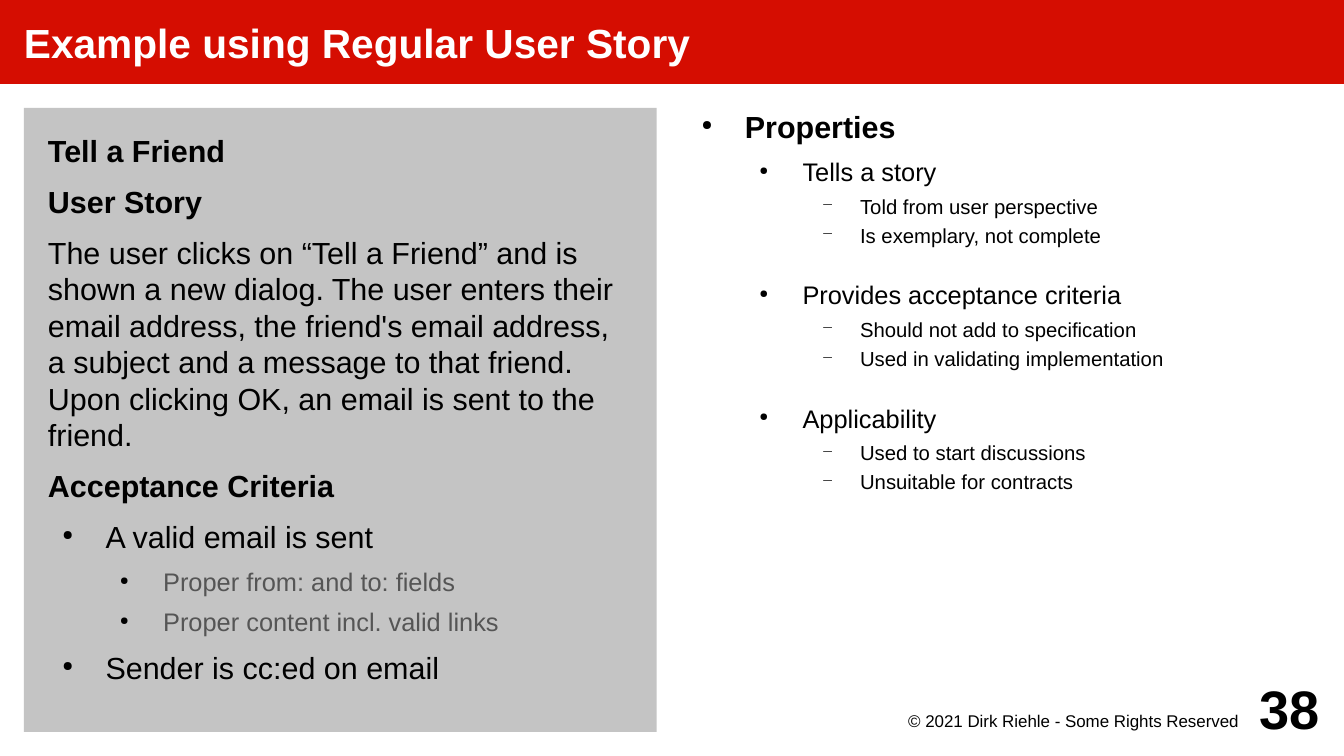
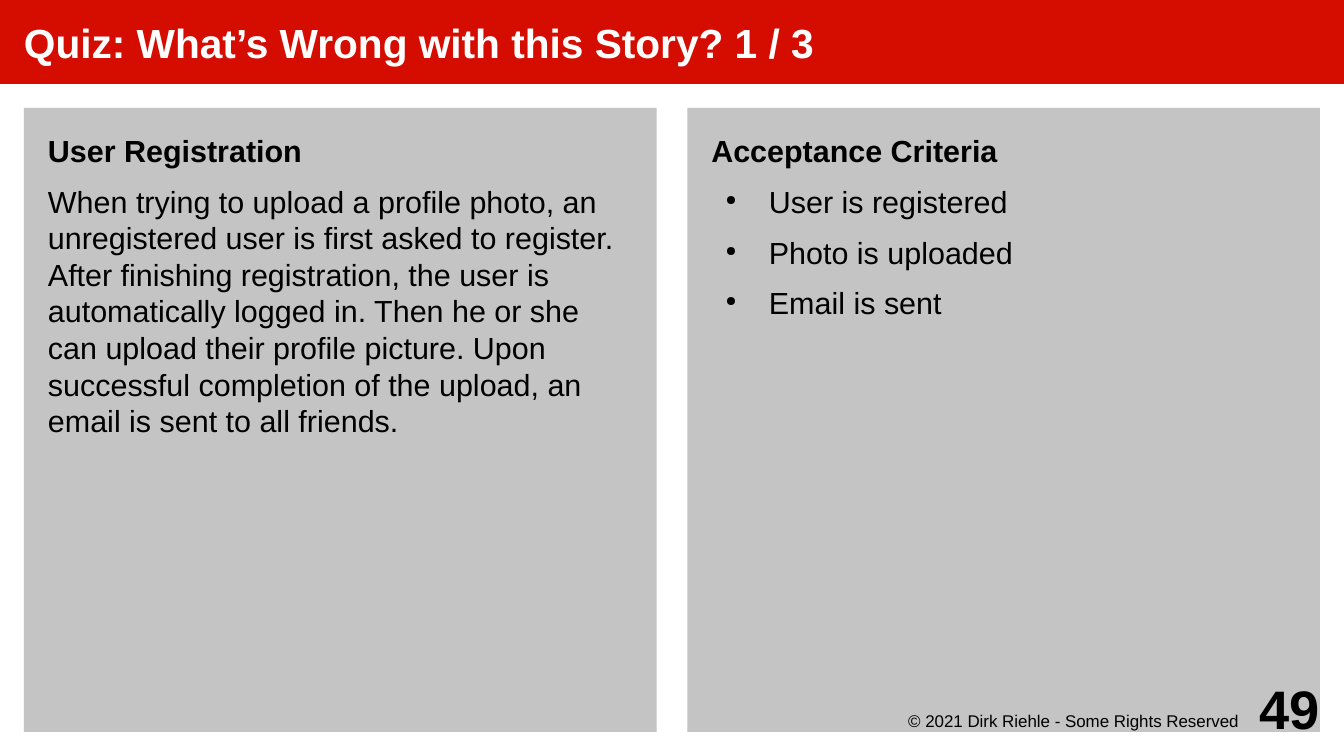
"""Build two user story slides with a shared title band and footer."""
from dataclasses import dataclass, replace
from typing import Optional

from lxml.etree import SubElement
from pptx import Presentation
from pptx.dml.color import RGBColor as RGB
from pptx.enum.shapes import MSO_SHAPE as SHAPE
from pptx.enum.text import MSO_ANCHOR as ANCHOR, PP_ALIGN as ALIGN
from pptx.oxml.ns import qn
from pptx.util import Cm, Length, Pt


@dataclass(frozen=True)
class Theme:
    font: str = "Arial"
    red: str = "D50D01"
    panel: str = "C4C4C4"
    white: str = "FFFFFF"
    black: str = "000000"
    grey: str = "555555"
    title: float = 24
    body: float = 18
    sub: float = 15
    detail: float = 12
    small: float = 10
    number: float = 32


T = Theme()
WIDTH, HEIGHT = Cm(28), Cm(15.75)
MARGIN = Cm(0.5)
BAND_H = Cm(1.75)
COL_W, COL_H = Cm(13.18), Cm(13)
COL_Y = BAND_H + MARGIN
LEFT, RIGHT = MARGIN, WIDTH - MARGIN - COL_W
GROUP_GAP = 14.8
COPYRIGHT = "© 2021 Dirk Riehle - Some Rights Reserved"


@dataclass(frozen=True)
class Style:
    size: float
    space: float = 0
    bold: bool = False
    color: str = T.black
    level: int = 0
    indent: Length = Cm(0)
    hang: Length = Cm(0)
    bullet: str = ""
    bullet_pct: int = 45
    align: Optional[ALIGN] = None
    extra_before: float = 0


@dataclass(frozen=True)
class Para:
    text: str
    style: Style


@dataclass(frozen=True)
class Column:
    x: Length
    paras: list[Para]
    fill: Optional[str] = T.panel


@dataclass(frozen=True)
class Page:
    title: str
    number: str
    columns: list[Column]


TITLE = Style(T.title, bold=True, color=T.white)
FOOTER = Style(T.small, align=ALIGN.RIGHT)
NUMBER = Style(T.number, bold=True, align=ALIGN.RIGHT)
PLAIN = Style(T.body, 4.2)
HEAD = replace(PLAIN, bold=True)
ITEM = replace(PLAIN, indent=Cm(1.2), hang=Cm(0.9), bullet="●")
ITEM_HEAD = replace(ITEM, bold=True)
SUB = replace(ITEM, size=T.sub, space=2.8, level=1, indent=Cm(2.4))
SUB_GREY = replace(SUB, color=T.grey)
SUB_NEXT = replace(SUB, extra_before=GROUP_GAP)
DETAIL = Style(T.detail, 1.4, level=2, indent=Cm(3.6), hang=Cm(0.8),
               bullet="−", bullet_pct=75)

PAGES = [
    Page("Example using Regular User Story", "38", [
        Column(LEFT, [
            Para("Tell a Friend", HEAD),
            Para("User Story", HEAD),
            Para("The user clicks on “Tell a Friend” and is shown a new dialog. "
                 "The user enters their email address, the friend's email address, "
                 "a subject and a message to that friend. Upon clicking OK, "
                 "an email is sent to the friend.", PLAIN),
            Para("Acceptance Criteria", HEAD),
            Para("A valid email is sent", ITEM),
            Para("Proper from: and to: fields", SUB_GREY),
            Para("Proper content incl. valid links", SUB_GREY),
            Para("Sender is cc:ed on email", ITEM),
        ]),
        Column(RIGHT, [
            Para("Properties", ITEM_HEAD),
            Para("Tells a story", SUB),
            Para("Told from user perspective", DETAIL),
            Para("Is exemplary, not complete", DETAIL),
            Para("Provides acceptance criteria", SUB_NEXT),
            Para("Should not add to specification", DETAIL),
            Para("Used in validating implementation", DETAIL),
            Para("Applicability", SUB_NEXT),
            Para("Used to start discussions", DETAIL),
            Para("Unsuitable for contracts", DETAIL),
        ], fill=None),
    ]),
    Page("Quiz: What’s Wrong with this Story? 1 / 3", "49", [
        Column(LEFT, [
            Para("User Registration", HEAD),
            Para("When trying to upload a profile photo, an unregistered user is "
                 "first asked to register. After finishing registration, the user "
                 "is automatically logged in. Then he or she can upload their "
                 "profile picture. Upon successful completion of the upload, "
                 "an email is sent to all friends.", PLAIN),
        ]),
        Column(RIGHT, [
            Para("Acceptance Criteria", HEAD),
            Para("User is registered", ITEM),
            Para("Photo is uploaded", ITEM),
            Para("Email is sent", ITEM),
        ]),
    ]),
]


def format_paragraph(p, style: Style, first: bool) -> None:
    """Set spacing, indents, alignment and bullet of a paragraph."""
    p.level = style.level
    p.alignment = style.align or ALIGN.LEFT
    p.space_before = Pt(0 if first else style.space + style.extra_before)
    p.space_after = Pt(style.space)
    pPr = p._p.get_or_add_pPr()
    pPr.set("marL", str(int(style.indent)))
    pPr.set("indent", str(-int(style.hang)))
    if style.bullet:
        color = SubElement(pPr, qn("a:buClr"))
        SubElement(color, qn("a:srgbClr"), val=T.black)
        SubElement(pPr, qn("a:buSzPct"), val=str(style.bullet_pct * 1000))
        SubElement(pPr, qn("a:buChar"), char=style.bullet)


def add_text(s, paras: list[Para], x: Length, y: Length, w: Length, h: Length, *,
             fill: Optional[str] = None, anchor: ANCHOR = ANCHOR.TOP,
             insets: tuple[float, float, float, float] = (0, 0, 0, 0)) -> None:
    """Add a text box, or a filled rectangle, holding the paragraphs."""
    if fill:
        sp = s.shapes.add_shape(SHAPE.RECTANGLE, x, y, w, h)
        sp.shadow.inherit = False
        sp.fill.solid()
        sp.fill.fore_color.rgb = RGB.from_string(fill)
        sp.line.fill.background()
    else:
        sp = s.shapes.add_textbox(x, y, w, h)
    tf = sp.text_frame
    tf.word_wrap = True
    tf.vertical_anchor = anchor
    tf.margin_left, tf.margin_top, tf.margin_right, tf.margin_bottom = map(Cm, insets)
    for i, para in enumerate(paras):
        p = tf.add_paragraph() if i else tf.paragraphs[0]
        format_paragraph(p, para.style, first=i == 0)
        r = p.add_run()
        r.text = para.text
        r.font.name = T.font
        r.font.size = Pt(para.style.size)
        r.font.bold = para.style.bold
        r.font.color.rgb = RGB.from_string(para.style.color)


def add_page(prs, page: Page) -> None:
    """Add one slide with title band, columns and footer."""
    s = prs.slides.add_slide(prs.slide_layouts[6])
    add_text(s, [Para(page.title, TITLE)], Cm(0), Cm(0), WIDTH, BAND_H,
             fill=T.red, anchor=ANCHOR.MIDDLE, insets=(0.5, 0, 0, 0))
    for col in page.columns:
        pad = 0.5 if col.fill else 0
        add_text(s, col.paras, col.x, COL_Y, COL_W, COL_H,
                 fill=col.fill, insets=(pad,) * 4)
    add_text(s, [Para(COPYRIGHT, FOOTER)], Cm(18), Cm(14.75), Cm(8), Cm(0.75),
             insets=(0, 0.05, 0.2, 0))
    add_text(s, [Para(page.number, NUMBER)], Cm(25.5), Cm(14), Cm(2), Cm(1.5),
             anchor=ANCHOR.MIDDLE)


def main() -> None:
    """Build and save the presentation."""
    prs = Presentation()
    prs.slide_width, prs.slide_height = WIDTH, HEIGHT
    for page in PAGES:
        add_page(prs, page)
    prs.save("out.pptx")


if __name__ == "__main__":
    main()
